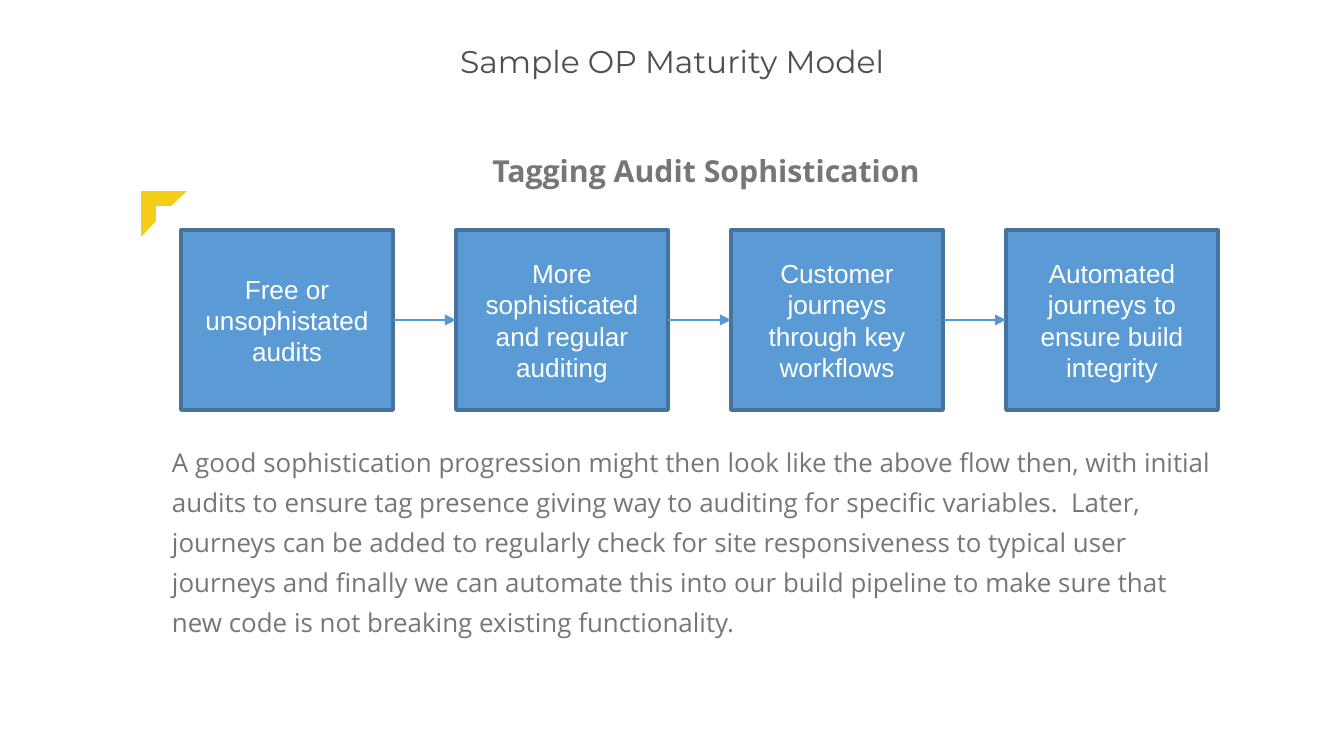
from dataclasses import dataclass

from lxml.etree import SubElement
from pptx import Presentation
from pptx.dml.color import RGBColor
from pptx.enum.shapes import MSO_CONNECTOR, MSO_SHAPE
from pptx.enum.text import MSO_ANCHOR, MSO_AUTO_SIZE, PP_ALIGN
from pptx.oxml.ns import qn
from pptx.util import Pt

PX = 914400 / 134.4


@dataclass(frozen=True)
class Theme:
    """Colours, fonts and type sizes of the slide."""
    ink: str = "4E504F"
    grey: str = "757776"
    gold: str = "F3CD17"
    blue: str = "5B9BD5"
    edge: str = "43739E"
    arrow: str = "5698D3"
    white: str = "FFFFFF"
    head: str = "Montserrat"
    text: str = "Open Sans"
    label: str = "Arial"
    title: int = 29
    sub: int = 28
    body: int = 24
    step: int = 14


LOOK = Theme()
STEPS = [
    "Free or unsophistated audits",
    "More sophisticated and regular auditing",
    "Customer journeys through key workflows",
    "Automated journeys to ensure build integrity",
]
BODY = (
    "A good sophistication progression might then look like the above flow then, "
    "with initial audits to ensure tag presence giving way to auditing for specific "
    "variables.  Later, journeys can be added to regularly check for site "
    "responsiveness to typical user journeys and finally we can automate this into "
    "our build pipeline to make sure that new code is not breaking existing "
    "functionality."
)


def emu(n):
    """Turn px into EMU."""
    return round(n * PX)


def apply(item, form):
    """Set each attribute named in a dict of format values."""
    for key, value in form.items():
        setattr(item, key, value)


def paint(item, fill, line=None, width=0):
    """Give a shape a flat fill and an optional outline."""
    item.shadow.inherit = False
    item.fill.solid()
    item.fill.fore_color.rgb = RGBColor.from_string(fill)
    if line:
        item.line.color.rgb = RGBColor.from_string(line)
        item.line.width = Pt(width)
    else:
        item.line.fill.background()


def write(par, text, face, size, color, bold=False):
    """Put one formatted run in a paragraph and return it."""
    run = par.add_run()
    run.text = text
    apply(run.font, {"name": face, "size": Pt(size), "bold": bold})
    run.font.color.rgb = RGBColor.from_string(color)
    return run


def prose(item, box, text, style, align):
    """Fill a text holder with one raised paragraph that shrinks to fit."""
    apply(item, dict(zip(("left", "top", "width", "height"), map(emu, box))))
    frame = item.text_frame
    pad = dict.fromkeys(
        ("margin_left", "margin_top", "margin_right", "margin_bottom"), emu(5))
    apply(frame, {**pad, "word_wrap": True, "vertical_anchor": MSO_ANCHOR.TOP,
                  "auto_size": MSO_AUTO_SIZE.TEXT_TO_FIT_SHAPE})
    par = frame.paragraphs[0]
    apply(par, {"alignment": align, "line_spacing": 0.9, "space_before": Pt(0)})
    props = par._p.get_or_add_pPr()
    props.set("marL", "0")
    props.set("indent", "0")
    SubElement(props, qn("a:buNone"))
    run = write(par, text, *style)
    run._r.get_or_add_rPr().set("baseline", "30000")


def corner(slide, box):
    """Draw the gold corner mark in its box."""
    left, top, size = box
    thick, cut = size // 3, size * 2 // 3
    pen = slide.shapes.build_freeform(left, top, PX)
    spots = [(size, 0), (cut, thick), (thick, thick), (thick, cut), (0, size)]
    pen.add_line_segments([(left + x, top + y) for x, y in spots])
    paint(pen.convert_to_shape(), LOOK.gold)


def link(slide, start, end):
    """Join two steps with an arrow from right side to left side."""
    line = slide.shapes.add_connector(MSO_CONNECTOR.STRAIGHT, 0, 0, 0, 0)
    line.begin_connect(start, 3)
    line.end_connect(end, 1)
    line.line.color.rgb = RGBColor.from_string(LOOK.arrow)
    line.line.width = Pt(0.75)
    SubElement(line.line._get_or_add_ln(), qn("a:tailEnd"), type="triangle")
    SubElement(line._element.spPr, qn("a:effectLst"))


def flow(slide, box, steps, gap):
    """Spread the steps evenly over a box and link them."""
    left, top, width, height = box
    wide = (width - gap * (len(steps) - 1)) // len(steps)
    cards = []
    for i, text in enumerate(steps):
        spot = (left + i * (wide + gap), top, wide, height)
        card = slide.shapes.add_shape(MSO_SHAPE.RECTANGLE, *map(emu, spot))
        paint(card, LOOK.blue, LOOK.edge, 2)
        apply(card.text_frame, {"word_wrap": True,
                                "vertical_anchor": MSO_ANCHOR.MIDDLE})
        par = card.text_frame.paragraphs[0]
        par.alignment = PP_ALIGN.CENTER
        write(par, text, LOOK.label, LOOK.step, LOOK.white)
        cards.append(card)
    for pair in zip(cards, cards[1:]):
        link(slide, *pair)


def main():
    """Build and save the slide."""
    deck = Presentation()
    apply(deck, {"slide_width": emu(1344), "slide_height": emu(756)})
    slide = deck.slides.add_slide(deck.slide_layouts[1])
    corner(slide, (141, 191, 46))
    prose(slide.shapes.title, (0, 46, 1344, 78), "Sample OP Maturity Model",
          (LOOK.head, LOOK.title, LOOK.ink), PP_ALIGN.CENTER)
    prose(slide.placeholders[1], (167, 449, 1050, 251), BODY,
          (LOOK.text, LOOK.body, LOOK.grey), PP_ALIGN.LEFT)
    flow(slide, (181, 230, 1037, 180), STEPS, 63)
    prose(slide.shapes.add_textbox(0, 0, 0, 0), (181, 156, 1050, 60),
          "Tagging Audit Sophistication",
          (LOOK.text, LOOK.sub, LOOK.grey, True), PP_ALIGN.CENTER)
    deck.save("out.pptx")


if __name__ == "__main__":
    main()
